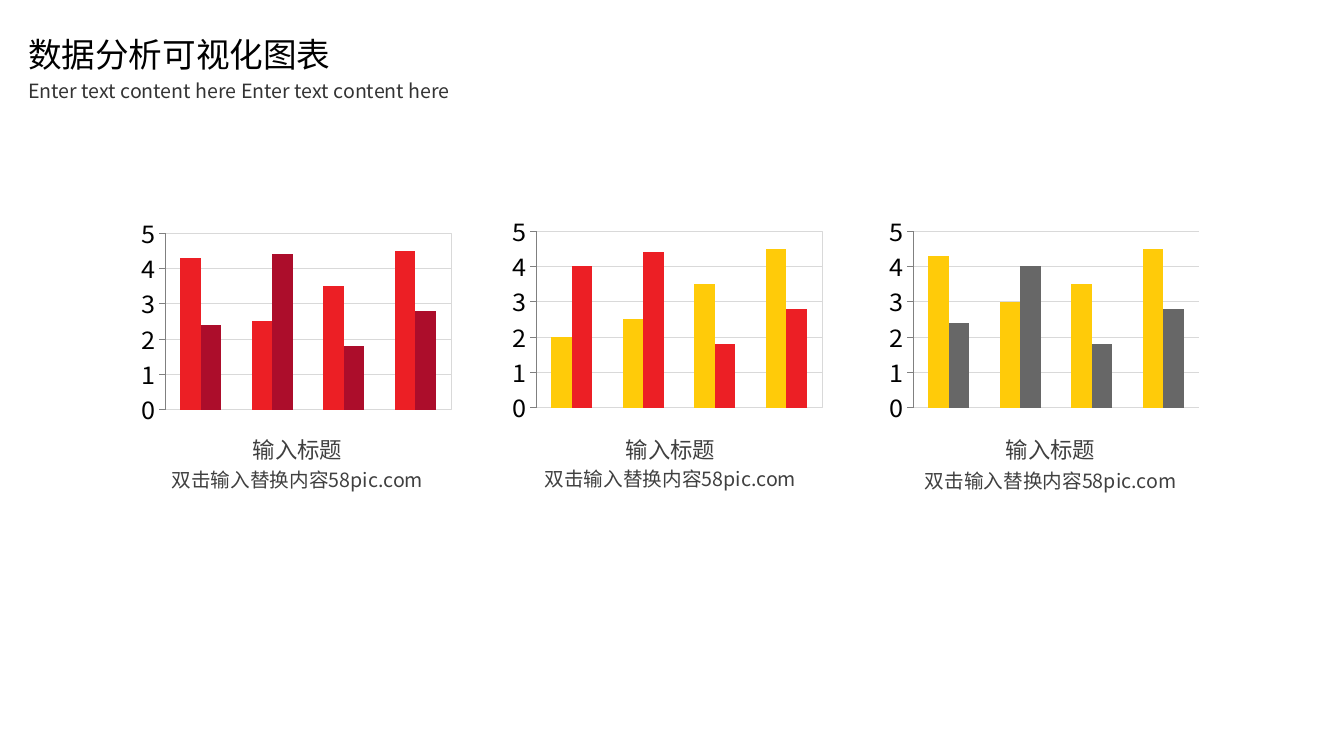
from lxml import etree
from pptx import Presentation
from pptx.chart.data import CategoryChartData
from pptx.dml.color import RGBColor
from pptx.enum import chart as ch, text as tx
from pptx.oxml import parse_xml
from pptx.oxml.ns import nsdecls, qn
from pptx.util import Inches, Pt

COLORS = {
    "black": "000000", "subtitle": "333333", "caption": "404040",
    "grid": "D9D9D9", "axis": "808080", "red": "EC1F25",
    "crimson": "AC0D2B", "yellow": "FFCB09", "gray": "676767",
}
TEXT_FONT = "Noto Sans CJK JP"
AXIS_FONT = "Noto Sans CJK SC"

# Chart left and top, plot border, caption centre, detail top, series by colour
PANELS = [
    (1.34, 2.14, True, 2.95, 4.59,
     {"red": (4.3, 2.5, 3.5, 4.5), "crimson": (2.4, 4.4, 1.8, 2.8)}),
    (5.02, 2.12, True, 6.65, 4.58,
     {"yellow": (2, 2.5, 3.5, 4.5), "red": (4, 4.4, 1.8, 2.8)}),
    (8.76, 2.12, False, 10.42, 4.6,
     {"yellow": (4.3, 3, 3.5, 4.5), "gray": (2.4, 4, 1.8, 2.8)}),
]


def rgb(name):
    return RGBColor.from_string(COLORS[name])


def add_label(slide, left, top, width, height, words, size, color,
              side_inset=0.1, bottom_inset=0.05, align=tx.PP_ALIGN.LEFT):
    label = slide.shapes.add_textbox(
        Inches(left), Inches(top), Inches(width), Inches(height))
    frame = label.text_frame
    frame.word_wrap = True
    frame.margin_left = frame.margin_right = Inches(side_inset)
    frame.margin_top, frame.margin_bottom = Inches(0.05), Inches(bottom_inset)
    line = frame.paragraphs[0]
    line.text = words
    line.alignment = align
    line.font.size = Pt(size)
    line.font.name = TEXT_FONT
    line.font.color.rgb = rgb(color)
    # East Asian typeface
    defaults = line._p.pPr.find(qn("a:defRPr"))
    etree.SubElement(defaults, qn("a:ea")).set("typeface", TEXT_FONT)


def place_plot(chart, bordered):
    """Fix the inner plot area and give it a thin frame if wanted."""
    plot_area = chart._chartSpace.chart.plotArea
    for layout in plot_area.findall(qn("c:layout")):
        plot_area.remove(layout)
    sizes = {"x": 0.093, "y": 0.02, "w": 0.889, "h": 0.877}
    parts = "".join(f'<c:{key} val="{val}"/>' for key, val in sizes.items())
    plot_area.insert(0, parse_xml(
        f'<c:layout {nsdecls("c")}><c:manualLayout>'
        '<c:layoutTarget val="inner"/><c:xMode val="edge"/>'
        f'<c:yMode val="edge"/>{parts}</c:manualLayout></c:layout>'))
    outline = (f'<a:solidFill><a:srgbClr val="{COLORS["grid"]}"/></a:solidFill>'
               if bordered else "<a:noFill/>")
    plot_area.append(parse_xml(
        f'<c:spPr {nsdecls("c", "a")}><a:noFill/>'
        f'<a:ln w="6350">{outline}</a:ln></c:spPr>'))


def add_columns(slide, left, top, bordered, series_by_color):
    data = CategoryChartData()
    data.categories = ["1", "2", "3", "4"]
    for number, values in enumerate(series_by_color.values(), 1):
        data.add_series(f"Series {number}", values)
    chart = slide.shapes.add_chart(
        ch.XL_CHART_TYPE.COLUMN_CLUSTERED, Inches(left), Inches(top),
        Inches(3.19), Inches(2.13), data).chart
    chart.has_legend = chart.has_title = False
    chart.font.name = "Lato"
    chart.font.size = Pt(18)
    chart.font.color.rgb = rgb("black")

    # Columns
    columns = chart.plots[0]
    columns.gap_width = 150
    columns.overlap = 0
    columns.vary_by_categories = False
    for series, color in zip(columns.series, series_by_color):
        series.format.fill.solid()
        series.format.fill.fore_color.rgb = rgb(color)

    # Axes
    chart.category_axis.visible = False
    scale = chart.value_axis
    scale.minimum_scale, scale.maximum_scale, scale.major_unit = 0, 5, 1
    scale.major_tick_mark = ch.XL_TICK_MARK.OUTSIDE
    scale.minor_tick_mark = ch.XL_TICK_MARK.NONE
    scale.tick_labels.font.name = AXIS_FONT
    scale.tick_labels.font.size = Pt(18)
    scale.tick_labels.font.color.rgb = rgb("black")
    scale.has_major_gridlines = True
    for part, color in ((scale, "axis"), (scale.major_gridlines, "grid")):
        part.format.line.width = Pt(0.5)
        part.format.line.color.rgb = rgb(color)
    place_plot(chart, bordered)


def add_caption(slide, center, top, width, height, words, size):
    add_label(slide, center - width / 2, top, width, height, words, size,
              "caption", 0, 0, tx.PP_ALIGN.CENTER)


def main():
    deck = Presentation()
    deck.slide_width, deck.slide_height = Inches(13.33), Inches(7.5)
    slide = deck.slides.add_slide(deck.slide_layouts[6])

    # Heading
    add_label(slide, 0.18, 0.29, 3.78, 0.5, "数据分析可视化图表", 24, "black")
    add_label(slide, 0.18, 0.73, 6.24, 0.34,
              "Enter text content here Enter text content here", 14, "subtitle")

    # Charts with captions
    for left, top, bordered, center, detail_top, series in PANELS:
        add_columns(slide, left, top, bordered, series)
        add_caption(slide, center, 4.28, 3.6, 0.32, "输入标题", 16)
        add_caption(slide, center, detail_top, 3.08, 0.29,
                    "双击输入替换内容58pic.com", 14)

    deck.save("out.pptx")


if __name__ == "__main__":
    main()
